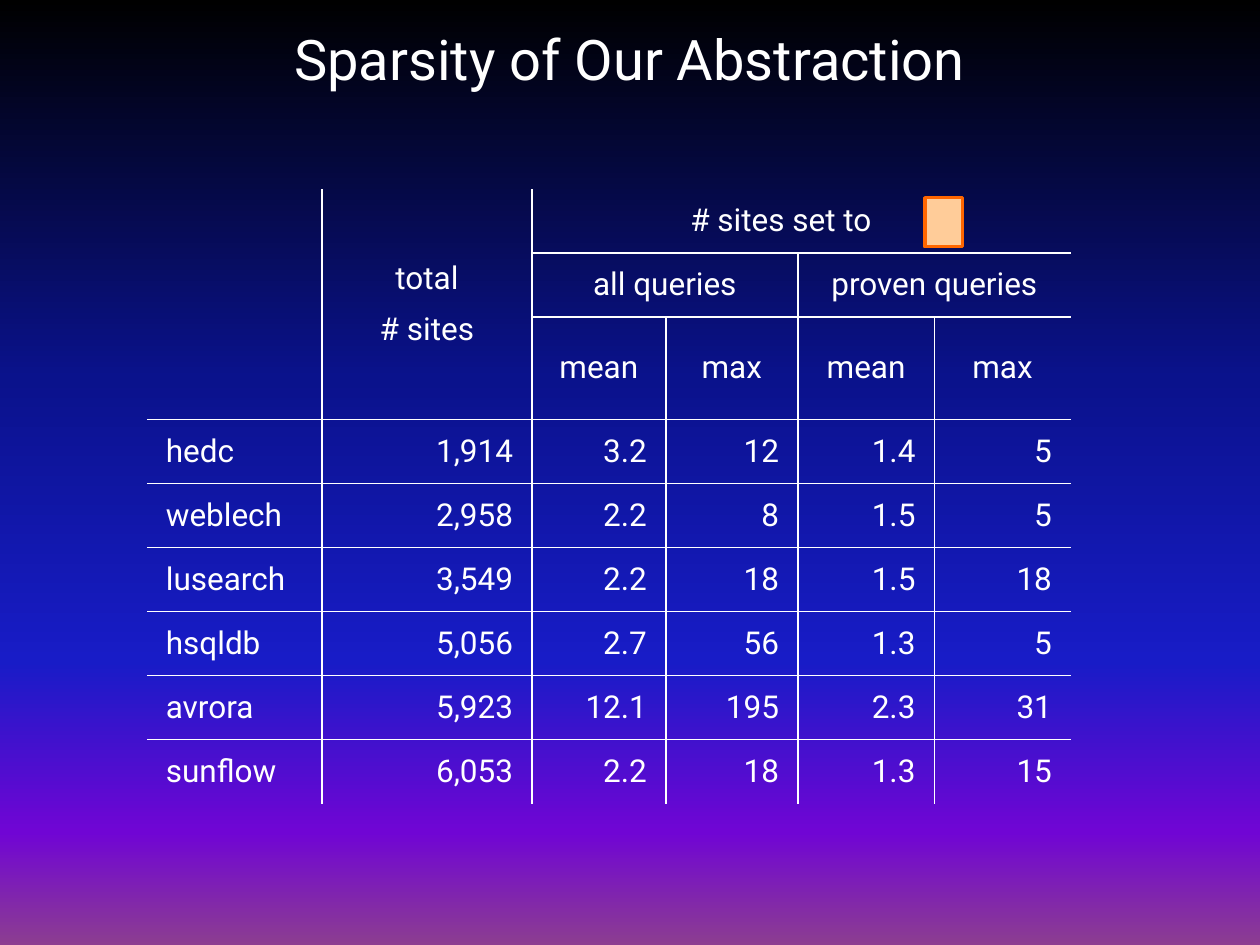
from lxml import etree
from pptx import Presentation
from pptx.dml.color import RGBColor
from pptx.enum import shapes, text
from pptx.oxml.ns import qn
from pptx.util import Pt

WHITE = "FFFFFF"
BACKGROUND = [(0, "000000"), (40, "0A128C"), (70, "181CC7"), (88, "7005D4"), (100, "8C3D91")]
COLUMNS = [100, 120, 76.5, 75.5, 78, 78]
ROW_HEIGHT = 36.6
HEADER_ROWS = 3
MERGES = [(0, 0, 2, 0), (0, 1, 2, 1), (0, 2, 0, 5), (1, 2, 1, 3), (1, 4, 1, 5)]
ROWS = [
    ["", "total\n# sites", "# sites set to", "", "", ""],
    ["", "", "all queries", "", "proven queries", ""],
    ["", "", "mean", "max", "mean", "max"],
    ["hedc", "1,914", "3.2", "12", "1.4", "5"],
    ["weblech", "2,958", "2.2", "8", "1.5", "5"],
    ["lusearch", "3,549", "2.2", "18", "1.5", "18"],
    ["hsqldb", "5,056", "2.7", "56", "1.3", "5"],
    ["avrora", "5,923", "12.1", "195", "2.3", "31"],
    ["sunflow", "6,053", "2.2", "18", "1.3", "15"],
]


def rgb(value):
    return RGBColor.from_string(value)


def add_color(parent, value):
    etree.SubElement(parent, qn("a:srgbClr"), val=value)


def merge_owner(row, col):
    """Return the top-left position of the merged area that holds a cell."""
    for top, left, bottom, right in MERGES:
        if top <= row <= bottom and left <= col <= right:
            return top, left
    return row, col


class SlideBuilder:
    font = "Roboto"
    color = WHITE

    def __init__(self, s):
        self.s = s

    def background(self, stops):
        fill = self.s.background.fill
        fill.gradient()
        fill.gradient_angle = 270
        stop_list = self.s.element.find(".//" + qn("a:gsLst"))
        for old in list(stop_list):
            stop_list.remove(old)
        for position, value in stops:
            stop = etree.SubElement(stop_list, qn("a:gs"), pos=str(position * 1000))
            add_color(stop, value)

    def set_text(self, tf, words, size, align):
        tf.text = words
        tf.word_wrap = True
        for i, p in enumerate(tf.paragraphs):
            p.alignment = align
            p.font.name, p.font.size = self.font, Pt(size)
            p.font.color.rgb = rgb(self.color)
            if i:
                p.space_before = Pt(8)

    def title(self, words, x, y, w, h):
        tf = self.s.shapes.add_textbox(Pt(x), Pt(y), Pt(w), Pt(h)).text_frame
        tf.vertical_anchor = text.MSO_ANCHOR.MIDDLE
        self.set_text(tf, words, 32, text.PP_ALIGN.CENTER)

    def rectangle(self, x, y, w, h, fill, line):
        sp = self.s.shapes.add_shape(shapes.MSO_SHAPE.RECTANGLE, Pt(x), Pt(y), Pt(w), Pt(h))
        sp.shadow.inherit = False
        sp.fill.solid()
        sp.fill.fore_color.rgb = rgb(fill)
        sp.line.color.rgb = rgb(line)
        sp.line.width = Pt(2)

    def borders(self, cell, row, col):
        """Rule every edge that is inside the table and outside a merged area."""
        tc_pr = cell._tc.get_or_add_tcPr()
        for side, dr, dc in [("L", 0, -1), ("R", 0, 1), ("T", -1, 0), ("B", 1, 0)]:
            r, c = row + dr, col + dc
            inside = 0 <= r < len(ROWS) and 0 <= c < len(COLUMNS)
            ln = etree.SubElement(tc_pr, qn("a:ln" + side), w=str(Pt(1)))
            if inside and merge_owner(r, c) != merge_owner(row, col):
                add_color(etree.SubElement(ln, qn("a:solidFill")), self.color)
            else:
                etree.SubElement(ln, qn("a:noFill"))

    def table(self, x, y):
        frame = self.s.shapes.add_table(len(ROWS), len(COLUMNS), Pt(x), Pt(y),
                                        Pt(sum(COLUMNS)), Pt(ROW_HEIGHT * len(ROWS)))
        table = frame.table
        table.first_row = table.horz_banding = False
        for column, width in zip(table.columns, COLUMNS):
            column.width = Pt(width)
        for row in table.rows:
            row.height = Pt(ROW_HEIGHT)
        for top, left, bottom, right in MERGES:
            table.cell(top, left).merge(table.cell(bottom, right))
        for i, values in enumerate(ROWS):
            for j, value in enumerate(values):
                cell = table.cell(i, j)
                cell.vertical_anchor = text.MSO_ANCHOR.MIDDLE
                cell.margin_left = cell.margin_right = Pt(10.8)
                cell.margin_top = cell.margin_bottom = Pt(3.6)
                self.borders(cell, i, j)
                cell.fill.background()
                if i < HEADER_ROWS:
                    align = text.PP_ALIGN.CENTER
                else:
                    align = text.PP_ALIGN.RIGHT if j else text.PP_ALIGN.LEFT
                if value:
                    self.set_text(cell.text_frame, value, 18, align)
        return table


def main():
    prs = Presentation()
    prs.slide_width, prs.slide_height = Pt(720), Pt(540)
    slide = SlideBuilder(prs.slides.add_slide(prs.slide_layouts[6]))
    slide.background(BACKGROUND)
    slide.title("Sparsity of Our Abstraction", 0, 6, 720, 54)
    table = slide.table(84, 108)
    sites_set = table.cell(0, 2)
    sites_set.margin_left = Pt(90.5)
    sites_set.text_frame.paragraphs[0].alignment = text.PP_ALIGN.LEFT
    slide.rectangle(528.5, 113, 21.6, 28, "FFCC99", "FF6600")
    prs.save("out.pptx")


if __name__ == "__main__":
    main()
